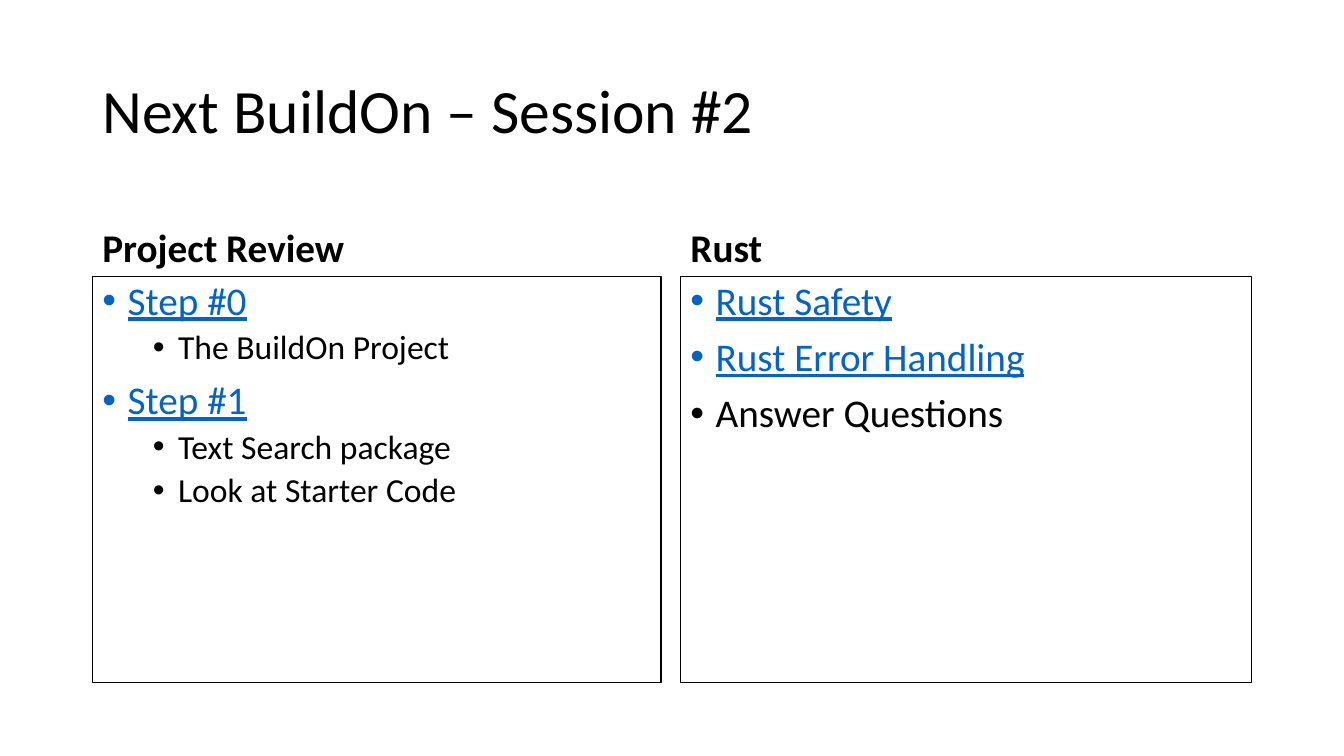
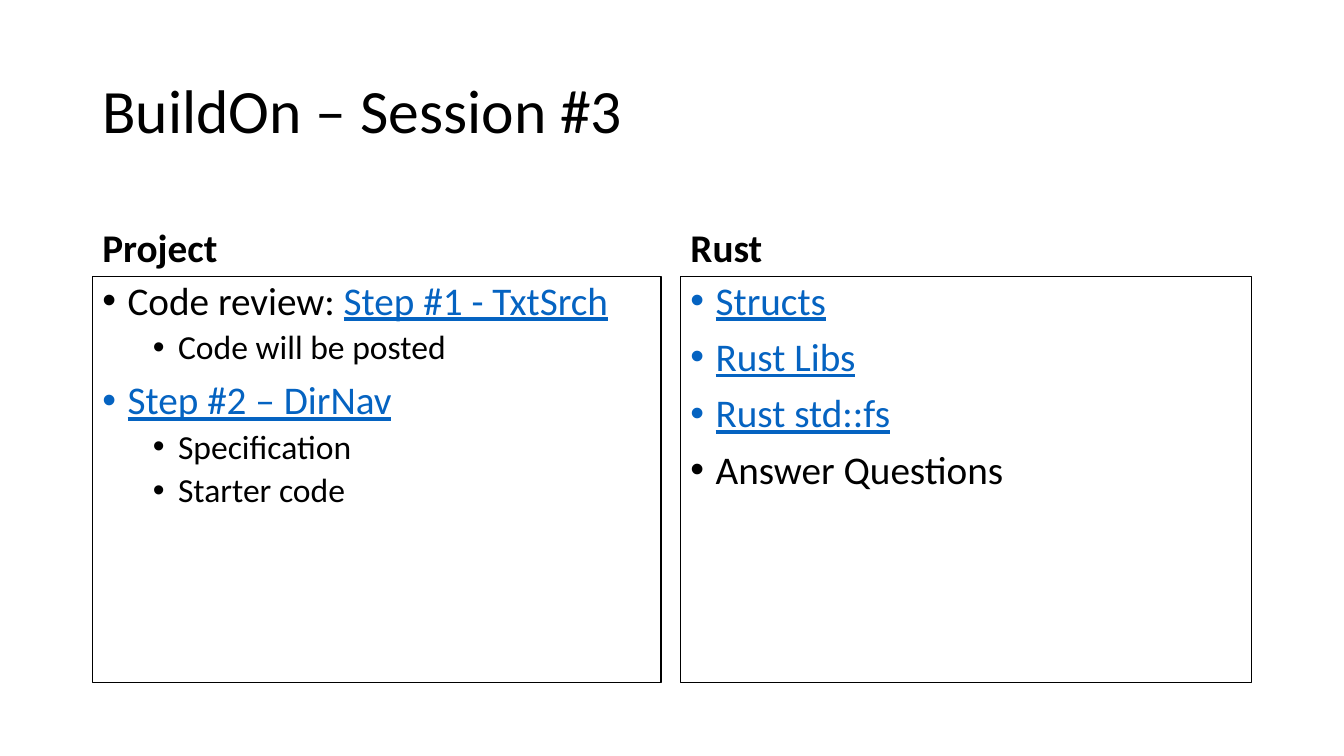
from lxml import etree
from pptx import Presentation
from pptx.dml.color import RGBColor
from pptx.enum import text
from pptx.oxml.ns import qn
from pptx.util import Pt

SESSIONS = [
    ("Next BuildOn – Session #2", [
        ("Project Review", [
            (0, "", "Step #0"),
            (1, "The BuildOn Project", ""),
            (0, "", "Step #1"),
            (1, "Text Search package", ""),
            (1, "Look at Starter Code", ""),
        ]),
        ("Rust", [
            (0, "", "Rust Safety"),
            (0, "", "Rust Error Handling"),
            (0, "Answer Questions", ""),
        ]),
    ]),
    ("BuildOn – Session #3", [
        ("Project", [
            (0, "Code review: ", "Step #1 - TxtSrch"),
            (1, "Code will be posted", ""),
            (0, "", "Step #2 – DirNav"),
            (1, "Specification", ""),
            (1, "Starter code", ""),
        ]),
        ("Rust", [
            (0, "", "Structs"),
            (0, "", "Rust Libs"),
            (0, "", "Rust std::fs"),
            (0, "Answer Questions", ""),
        ]),
    ]),
]


def rgb(hex_colour):
    return RGBColor.from_string(hex_colour)


def apply(target, values):
    for name, value in values.items():
        setattr(target, name, value)


class SessionDeck:
    FONT, INK, LINK = "Calibri", "000000", "0563C1"
    COMPARISON_LAYOUT = 4
    TITLE_BOX = (66, 28.8, 828, 104.4)
    COLUMNS = [(66, 406.1), (486, 408)]  # left, width
    HEADING_TOP, HEADING_HEIGHT, LIST_HEIGHT = 132.5, 64.8, 290.2
    # size, space before, left margin; one entry per list level
    LEVELS = [(28, 10, 18), (24, 5, 54)]
    HANGING = 18

    def __init__(self):
        self.deck = Presentation()
        apply(self.deck, {"slide_width": Pt(960), "slide_height": Pt(540)})

    def add_slide(self):
        layout = self.deck.slide_layouts[self.COMPARISON_LAYOUT]
        self.slide = self.deck.slides.add_slide(layout)

    def place(self, index, box, anchor):
        """Move the placeholder with this index and return it, ready for text."""
        holder = self.slide.placeholders[index]
        apply(holder, dict(zip(("left", "top", "width", "height"), map(Pt, box))))
        apply(holder.text_frame, {
            "word_wrap": True,
            "auto_size": text.MSO_AUTO_SIZE.NONE,
            "vertical_anchor": anchor,
        })
        return holder

    def format_paragraph(self, paragraph, space_before=0):
        apply(paragraph, {
            "alignment": text.PP_ALIGN.LEFT,
            "line_spacing": 0.9,
            "space_before": Pt(space_before),
            "space_after": Pt(0),
        })

    def add_run(self, paragraph, wording, size, colour=INK, **extra):
        run = paragraph.add_run()
        run.text = wording
        apply(run.font, {"name": self.FONT, "size": Pt(size), **extra})
        run.font.color.rgb = rgb(colour)

    def line_of_text(self, index, box, anchor, wording, size, bold):
        paragraph = self.place(index, box, anchor).text_frame.paragraphs[0]
        self.format_paragraph(paragraph)
        self.add_run(paragraph, wording, size, bold=bold)

    def title(self, wording):
        self.line_of_text(0, self.TITLE_BOX, text.MSO_ANCHOR.MIDDLE, wording, 44, False)

    def column(self, number, heading, items):
        left, width = self.COLUMNS[number]
        heading_index = 1 + 2 * number
        self.line_of_text(heading_index,
                          (left, self.HEADING_TOP, width, self.HEADING_HEIGHT),
                          text.MSO_ANCHOR.BOTTOM, heading, 28, True)
        list_top = self.HEADING_TOP + self.HEADING_HEIGHT
        self.topic_list(heading_index + 1, (left, list_top, width, self.LIST_HEIGHT), items)

    def topic_list(self, index, box, items):
        holder = self.place(index, box, text.MSO_ANCHOR.TOP)
        holder.line.color.rgb = rgb(self.INK)
        holder.line.width = Pt(1)
        frame = holder.text_frame
        for position, (level, plain, linked) in enumerate(items):
            paragraph = frame.add_paragraph() if position else frame.paragraphs[0]
            size, space_before, margin = self.LEVELS[level]
            paragraph.level = level
            self.add_bullet(paragraph, margin)
            self.format_paragraph(paragraph, space_before if position else 0)
            if plain:
                self.add_run(paragraph, plain, size)
            if linked:
                self.add_run(paragraph, linked, size, self.LINK, underline=True)

    def add_bullet(self, paragraph, margin):
        properties = paragraph._p.get_or_add_pPr()
        properties.set("marL", str(Pt(margin)))
        properties.set("indent", str(-Pt(self.HANGING)))
        etree.SubElement(properties, qn("a:buFont")).set("typeface", "Arial")
        etree.SubElement(properties, qn("a:buChar")).set("char", "•")

    def save(self):
        self.deck.save("out.pptx")


def main():
    deck = SessionDeck()
    for title, columns in SESSIONS:
        deck.add_slide()
        deck.title(title)
        for number, (heading, items) in enumerate(columns):
            deck.column(number, heading, items)
    deck.save()


if __name__ == "__main__":
    main()
